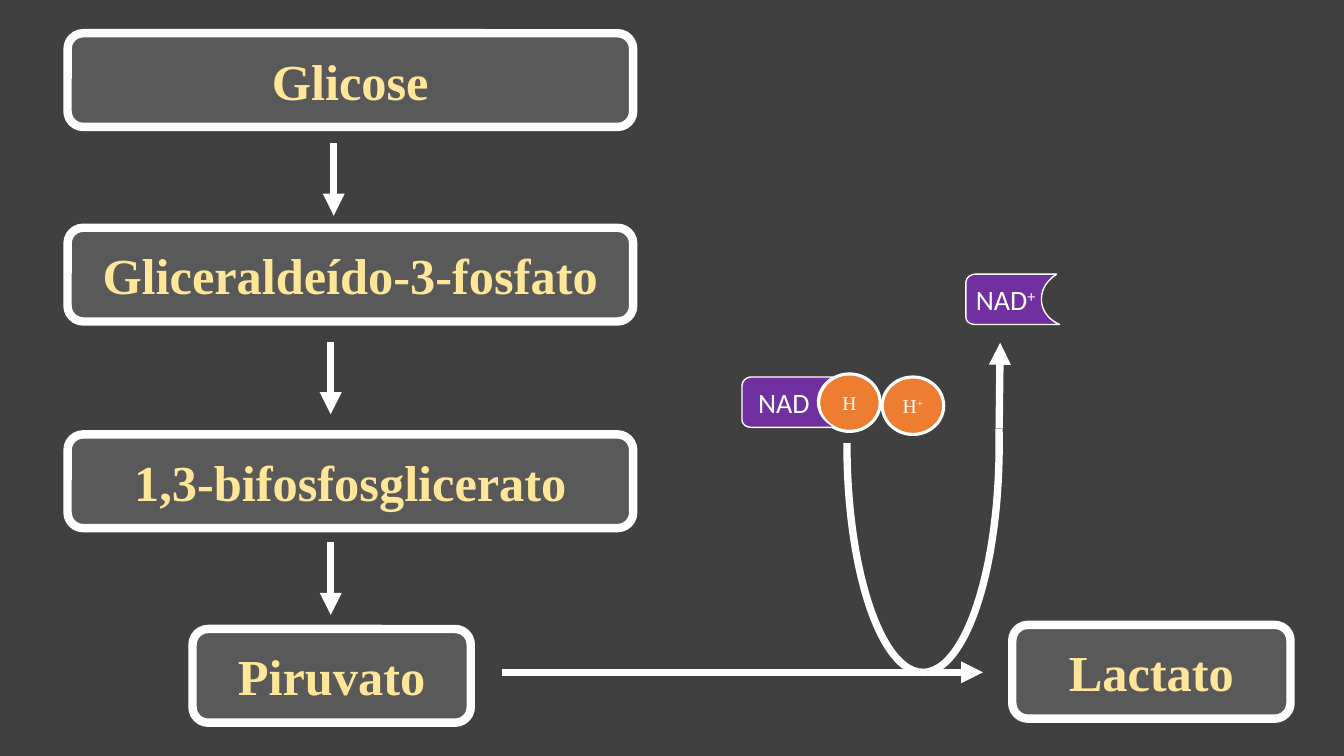
from lxml.etree import SubElement
from pptx import Presentation
from pptx.dml.color import RGBColor
from pptx.enum.shapes import MSO_CONNECTOR, MSO_SHAPE
from pptx.enum.text import MSO_ANCHOR, PP_ALIGN
from pptx.oxml.ns import qn
from pptx.util import Inches, Pt

WHITE = "FFFFFF"
SERIF = "Times New Roman"


def paint(color, value):
    color.rgb = RGBColor.from_string(value)


def style(shape, fill, width):
    shape.shadow.inherit = False
    if fill:
        shape.fill.solid()
        paint(shape.fill.fore_color, fill)
    else:
        shape.fill.background()
    paint(shape.line.color, WHITE)
    shape.line.width = Pt(width)


def write(shape, text, size, font, color=WHITE, bold=False, align=PP_ALIGN.CENTER):
    """Put text in the shape, raising a final plus sign."""
    frame = shape.text_frame
    frame.word_wrap = True
    frame.vertical_anchor = MSO_ANCHOR.MIDDLE
    para = frame.paragraphs[0]
    para.alignment = align
    para.font.size = Pt(size)
    para.font.name = font
    para.font.bold = bold
    paint(para.font.color, color)
    para.add_run().text = text.rstrip("+")
    if text.endswith("+"):
        plus = para.add_run()
        plus.text = "+"
        plus._r.get_or_add_rPr().set("baseline", "30000")


def add_box(slide, text, left, top, width):
    box = slide.shapes.add_shape(
        MSO_SHAPE.ROUNDED_RECTANGLE,
        Inches(left), Inches(top), Inches(width), Inches(0.93))
    style(box, "595959", 6)
    write(box, text, 36, SERIF, "FFE699", bold=True)


def add_arrow(slide, x1, y1, x2, y2):
    arrow = slide.shapes.add_connector(
        MSO_CONNECTOR.STRAIGHT, Inches(x1), Inches(y1), Inches(x2), Inches(y2))
    paint(arrow.line.color, WHITE)
    arrow.line.width = Pt(5.25)
    SubElement(arrow.line._get_or_add_ln(), qn("a:tailEnd"), type="triangle")
    SubElement(arrow._element.spPr, qn("a:effectLst"))


def add_atom(slide, text, left, top):
    atom = slide.shapes.add_shape(
        MSO_SHAPE.OVAL, Inches(left), Inches(top), Inches(0.61), Inches(0.57))
    style(atom, "ED7D31", 2.25)
    write(atom, text, 14, SERIF)


def curve(a, b, c, d, steps=12):
    """Points of a cubic Bézier curve after its start."""
    for i in range(1, steps + 1):
        t = i / steps
        u = 1 - t
        yield tuple(u**3 * p + 3 * u * u * t * q + 3 * u * t * t * r + t**3 * s
                    for p, q, r, s in zip(a, b, c, d))


def add_tag(slide, text, left, top, inset=0.1):
    """Draw a carrier with two round corners and a notch on the right."""
    points = [
        (0.9, 0), (0.86, 0.03),
        *curve((0.86, 0.03), (0.79, 0.09), (0.75, 0.16), (0.75, 0.25)),
        *curve((0.75, 0.25), (0.75, 0.35), (0.81, 0.44), (0.91, 0.49)),
        (0.93, 0.5), (0.1, 0.5),
        *curve((0.1, 0.5), (0.04, 0.5), (0, 0.47), (0, 0.42)),
        (0, 0.09),
        *curve((0, 0.09), (0, 0.04), (0.04, 0), (0.1, 0)),
    ]
    path = slide.shapes.build_freeform(Inches(0.1), 0)
    path.add_line_segments([(Inches(x), Inches(y)) for x, y in points], close=True)
    tag = path.convert_to_shape(Inches(left), Inches(top))
    style(tag, "7030A0", 1)
    write(tag, text, 20, "Calibri", align=PP_ALIGN.LEFT)
    tag.text_frame.margin_left = Inches(inset)


def add_arc(slide):
    arc = slide.shapes.add_shape(
        MSO_SHAPE.ARC, Inches(8.4), Inches(2.14), Inches(1.51), Inches(4.53))
    arc.rotation = 180
    arc.adjustments[0] = 101.07
    arc.adjustments[1] = 0.37
    style(arc, None, 5.25)


def main():
    deck = Presentation()
    deck.slide_width, deck.slide_height = Inches(13.33), Inches(7.5)
    slide = deck.slides.add_slide(deck.slide_layouts[6])
    back = slide.background.fill
    back.solid()
    paint(back.fore_color, "404040")

    for text, top in (("Glicose", 0.33), ("Gliceraldeído-3-fosfato", 2.26),
                      ("1,3-bifosfosglicerato", 4.31)):
        add_box(slide, text, 0.67, top, 5.61)
    add_box(slide, "Piruvato", 1.91, 6.24, 2.76)
    add_box(slide, "Lactato", 10.04, 6.2, 2.76)

    for x, y in ((3.31, 1.42), (3.28, 3.39), (3.28, 5.38)):
        add_arrow(slide, x, y, x, y + 0.72)
    add_arrow(slide, 4.98, 6.67, 9.75, 6.67)

    add_atom(slide, "H", 8.12, 3.71)
    add_tag(slide, "NAD", 7.36, 3.74, inset=0.16)
    add_atom(slide, "H+", 8.75, 3.74)
    add_tag(slide, "NAD+", 9.58, 2.72)
    add_arc(slide)
    add_arrow(slide, 9.91, 4.25, 9.92, 3.4)

    deck.save("out.pptx")


if __name__ == "__main__":
    main()
